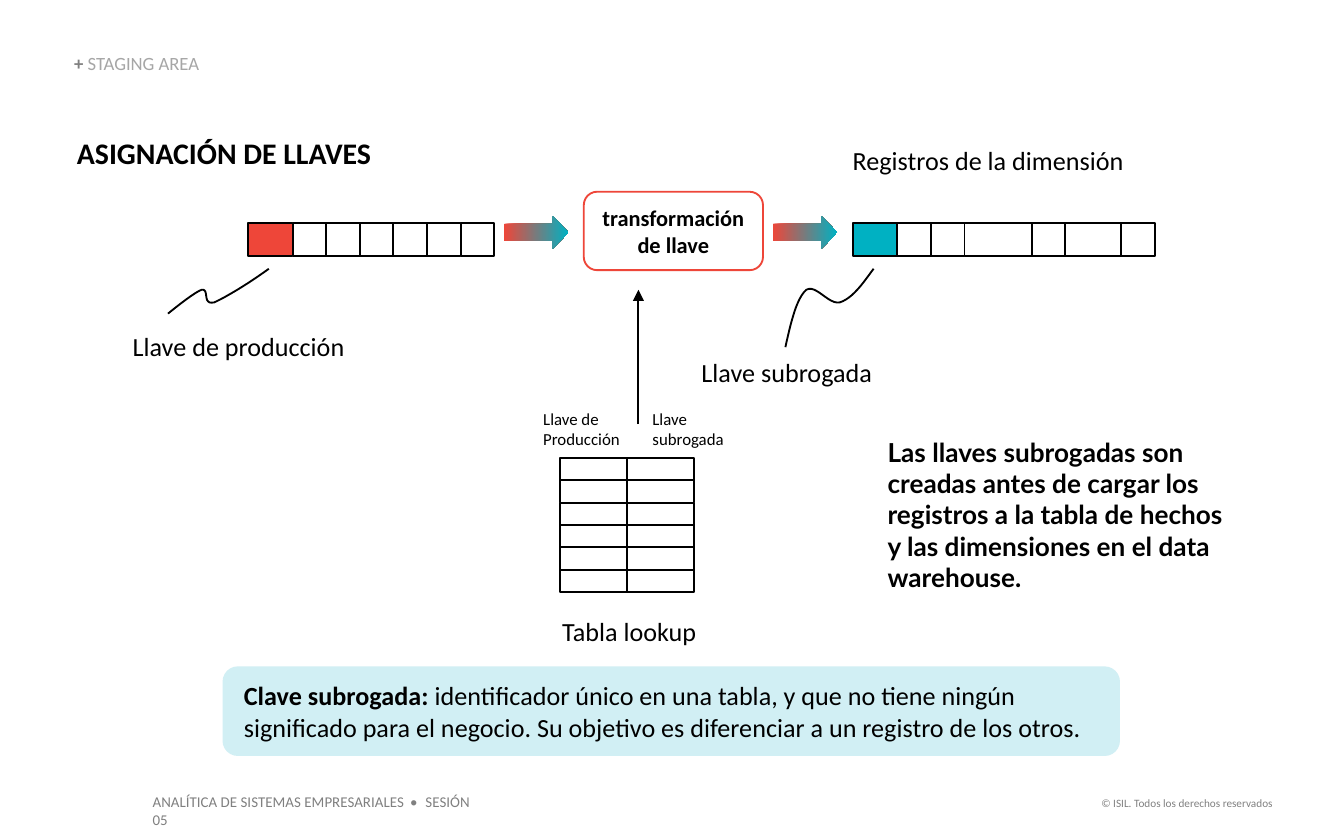
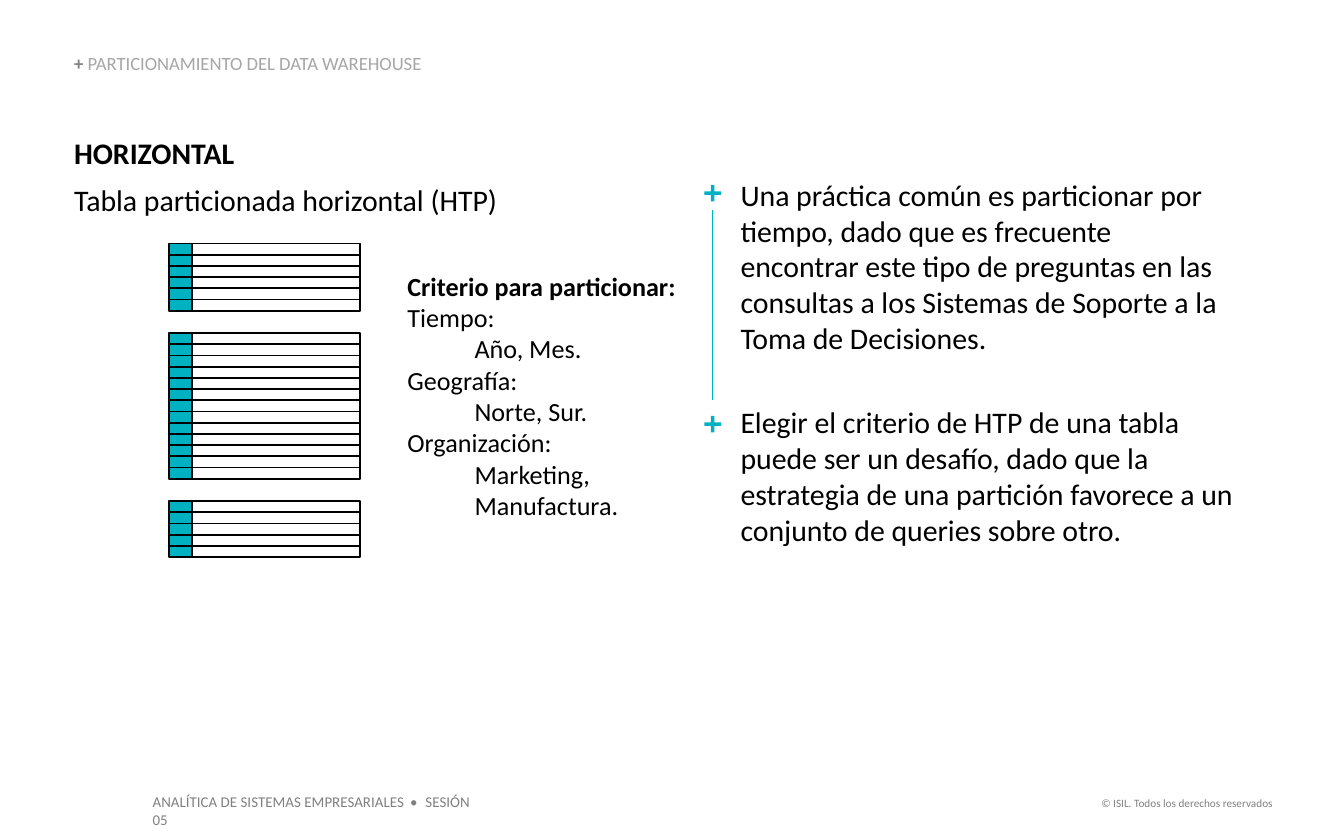
from itertools import accumulate

from lxml.etree import SubElement
from pptx import Presentation
from pptx.dml.color import RGBColor
from pptx.enum.shapes import MSO_CONNECTOR as Connector, MSO_SHAPE as Shape
from pptx.enum.text import MSO_ANCHOR as Anchor, MSO_AUTO_SIZE as AutoSize, PP_ALIGN as Align
from pptx.oxml.ns import qn
from pptx.util import Pt

PX = 9525
TITLE_ONLY = 5
COLORS = {
    "black": "000000",
    "red": "EE4639",
    "teal": "00B1C2",
    "pale": "D1EFF4",
    "gray": "808080",
    "silver": "A6A6A6",
}
PADDED = (10, 5, 10, 5)
FLUSH = (0, 0, 0, 0)
CELL = 24
ROW_HEIGHT = 8


def px(*lengths):
    return [round(length * PX) for length in lengths]


def rgb(name):
    return RGBColor.from_string(COLORS[name])


def set_frame(frame, insets=PADDED, anchor=Anchor.TOP, wrap=True):
    frame.word_wrap = wrap
    frame.auto_size = AutoSize.NONE if wrap else AutoSize.SHAPE_TO_FIT_TEXT
    frame.vertical_anchor = anchor
    (frame.margin_left, frame.margin_top,
     frame.margin_right, frame.margin_bottom) = px(*insets)


def add_span(para, text, size, bold=False, color="black", font="Calibri"):
    span = para.add_run()
    span.text = text
    span.font.size = Pt(size)
    span.font.name = font
    span.font.bold = bold
    span.font.color.rgb = rgb(color)
    return span


def add_para(frame, align=Align.LEFT, before=0, after=0, indent=0):
    first = frame.paragraphs[0]
    para = frame.add_paragraph() if first.runs else first
    if indent:
        para._p.get_or_add_pPr().set("marL", str(indent * PX))
    para.alignment = align
    para.space_before, para.space_after = Pt(before), Pt(after)
    return para


def add_frame(page, place, **layout):
    frame = page.shapes.add_textbox(*px(*place)).text_frame
    set_frame(frame, **layout)
    return frame


def add_label(page, place, lines, size=14, align=Align.LEFT, **style):
    frame = add_frame(page, place, anchor=Anchor.MIDDLE)
    for line in lines:
        add_span(add_para(frame, align), line, size, **style)


def add_figure(page, kind, place, fill=None, line=None, adjust=()):
    figure = page.shapes.add_shape(kind, *px(*place))
    figure.shadow.inherit = False
    for index, value in enumerate(adjust):
        figure.adjustments[index] = value
    if fill:
        figure.fill.solid()
        figure.fill.fore_color.rgb = rgb(fill)
    else:
        figure.fill.background()
    if line:
        figure.line.color.rgb = rgb(line)
        figure.line.width = Pt(1)
    else:
        figure.line.fill.background()
    return figure


def add_record(page, left, top, widths, height, key_color=None):
    for index, (width, end) in enumerate(zip(widths, accumulate(widths))):
        fill = key_color if index == 0 else None
        add_figure(page, Shape.RECTANGLE, (left + end - width, top, width, height),
                   fill, "black")


def add_records(page, left, top, widths, height, count, key_color=None):
    for row in range(count):
        add_record(page, left, top + row * height, widths, height, key_color)


def add_flow_arrow(page, left):
    arrow = add_figure(page, Shape.RIGHT_ARROW, (left, 154, 46, 24), adjust=(0.5, 0.48))
    arrow.fill.gradient()
    arrow.fill.gradient_angle = 0
    for stop, color in zip(arrow.fill.gradient_stops, ("red", "teal")):
        stop.color.rgb = rgb(color)


def add_line(page, start, end, color, width, arrow=False):
    line = page.shapes.add_connector(Connector.STRAIGHT, *px(*start, *end))
    line.line.color.rgb = rgb(color)
    line.line.width = Pt(width)
    properties = line._element.spPr
    if arrow:
        SubElement(properties.find(qn("a:ln")), qn("a:tailEnd"), type="triangle")
    SubElement(properties, qn("a:effectLst"))


def bezier(points, t):
    weights = ((1 - t) ** 3, 3 * t * (1 - t) ** 2, 3 * t * t * (1 - t), t ** 3)
    return [sum(weight * point[axis] for weight, point in zip(weights, points))
            for axis in (0, 1)]


def add_curve(page, points, steps=12):
    builder = page.shapes.build_freeform(*px(*points[0]))
    for index in range(0, len(points) - 1, 3):
        segment = points[index:index + 4]
        builder.add_line_segments(
            [px(*bezier(segment, step / steps)) for step in range(1, steps + 1)],
            close=False)
    curve = builder.convert_to_shape()
    curve.shadow.inherit = False
    curve.fill.background()
    curve.line.color.rgb = rgb("black")
    curve.line.width = Pt(1)


def add_page(deck, topic):
    page = deck.slides.add_slide(deck.slide_layouts[TITLE_ONLY])
    title = page.shapes.title
    title.left, title.top, title.width, title.height = px(53, 39, 255, 14)
    set_frame(title.text_frame, FLUSH, Anchor.BOTTOM)
    para = add_para(title.text_frame)
    para.line_spacing = 0.9
    add_span(para, "+ ", 10, True, "gray")
    add_span(para, topic, 10, color="silver")

    course = add_para(add_frame(page, (99, 561, 259, 23), wrap=False))
    add_span(course, "ANALÍTICA DE SISTEMAS EMPRESARIALES", 8, color="gray")
    bullet = add_span(course, " • ", 8, color="gray")
    bullet._r.get_or_add_rPr().set("spc", "120")
    add_span(course, "SESIÓN 05", 8, color="gray")
    rights = add_para(add_frame(page, (775, 564, 144, 19), wrap=False), Align.RIGHT)
    add_span(rights, "© ISIL. Todos los derechos reservados", 6, color="gray")
    return page


def build_keys_page(deck):
    page = add_page(deck, "STAGING AREA")
    heading = add_frame(page, (55, 96, 232, 26), insets=FLUSH)
    add_span(add_para(heading), "ASIGNACIÓN DE LLAVES", 16, True)

    add_record(page, 177, 159, [32] + [CELL] * 6, CELL, "red")
    add_record(page, 609, 159, [32, CELL, CELL, 48, CELL, 40, CELL], CELL, "teal")
    add_records(page, 400, 327, [48, 48], 16, 6)
    for left in (360, 552):
        add_flow_arrow(page, left)
    add_line(page, (456, 303), (456, 207), "black", 1, arrow=True)
    add_curve(page, [(120, 224), (130, 216), (139, 209), (144, 207), (150, 206),
                     (144, 218), (153, 216), (160, 213), (177, 203), (192, 192)])
    add_curve(page, [(561, 248), (565, 230), (569, 213), (576, 207), (583, 203),
                     (592, 218), (600, 216), (609, 213), (616, 203), (624, 192)])

    add_label(page, (77, 231, 187, 33), ["Llave de producción"], align=Align.CENTER)
    add_label(page, (484, 249, 156, 33), ["Llave subrogada"], align=Align.CENTER)
    add_label(page, (387, 434, 125, 33), ["Tabla lookup"], align=Align.CENTER)
    add_label(page, (599, 98, 276, 33), ["Registros de la dimensión"])
    add_label(page, (378, 287, 80, 38), ["Llave de", "Producción"], 9)
    add_label(page, (456, 287, 77, 38), ["Llave", "subrogada"], 9)
    add_label(page, (624, 306, 264, 123),
              ["Las llaves subrogadas son creadas antes de cargar los registros a la "
               "tabla de hechos y las dimensiones en el data warehouse."],
              bold=True, font="Lato")

    transform = add_figure(page, Shape.ROUNDED_RECTANGLE, (417, 137, 128, 56),
                           line="red", adjust=(0.17,)).text_frame
    set_frame(transform, anchor=Anchor.MIDDLE)
    for line in ("transformación", "de llave"):
        add_span(add_para(transform, Align.CENTER), line, 12, True)

    definition = add_figure(page, Shape.ROUNDED_RECTANGLE, (159, 476, 641, 64),
                            "pale", adjust=(0.17,)).text_frame
    set_frame(definition, (12, 5, 10, 5), Anchor.MIDDLE)
    para = add_para(definition)
    add_span(para, "Clave subrogada: ", 14, True)
    add_span(para, "identificador único en una tabla, y que no tiene ningún significado "
                   "para el negocio. Su objetivo es diferenciar a un registro de los "
                   "otros.", 14)


def build_partition_page(deck):
    page = add_page(deck, "PARTICIONAMIENTO DEL DATA WAREHOUSE")
    heading = add_frame(page, (53, 96, 319, 60), insets=FLUSH, anchor=Anchor.MIDDLE)
    add_span(add_para(heading, after=6), "HORIZONTAL", 16, True)
    add_span(add_para(heading), "Tabla particionada horizontal (HTP)", 16)

    top = 174
    for count in (6, 13, 5):
        add_records(page, 121, top, [16, 120], ROW_HEIGHT, count, "teal")
        top += (count + 2) * ROW_HEIGHT

    criteria = add_frame(page, (281, 187, 248, 191), anchor=Anchor.MIDDLE)
    add_span(add_para(criteria), "Criterio para particionar:", 14, True)
    for name, values in (("Tiempo:", ["Año, Mes."]),
                         ("Geografía:", ["Norte, Sur."]),
                         ("Organización:", ["Marketing,", "Manufactura."])):
        add_span(add_para(criteria), name, 14)
        for value in values:
            add_span(add_para(criteria, indent=48), value, 14)

    advice = add_frame(page, (529, 126, 353, 296), insets=FLUSH)
    add_span(add_para(advice),
             "Una práctica común es particionar por tiempo, dado que es frecuente "
             "encontrar este tipo de preguntas en las consultas a los Sistemas de "
             "Soporte a la Toma de Decisiones.", 16)
    add_span(add_para(advice, before=26),
             "Elegir el criterio de HTP de una tabla puede ser un desafío, dado que la "
             "estrategia de una partición favorece a un conjunto de queries sobre otro.",
             16)
    add_line(page, (509, 150), (509, 286), "teal", 0.75)
    for plus_top in (130, 295):
        add_figure(page, Shape.MATH_PLUS, (501, plus_top, 16, 16), "teal", adjust=(0.15,))


def main():
    deck = Presentation()
    deck.slide_width, deck.slide_height = px(960, 600)
    build_keys_page(deck)
    build_partition_page(deck)
    deck.save("out.pptx")


if __name__ == "__main__":
    main()
